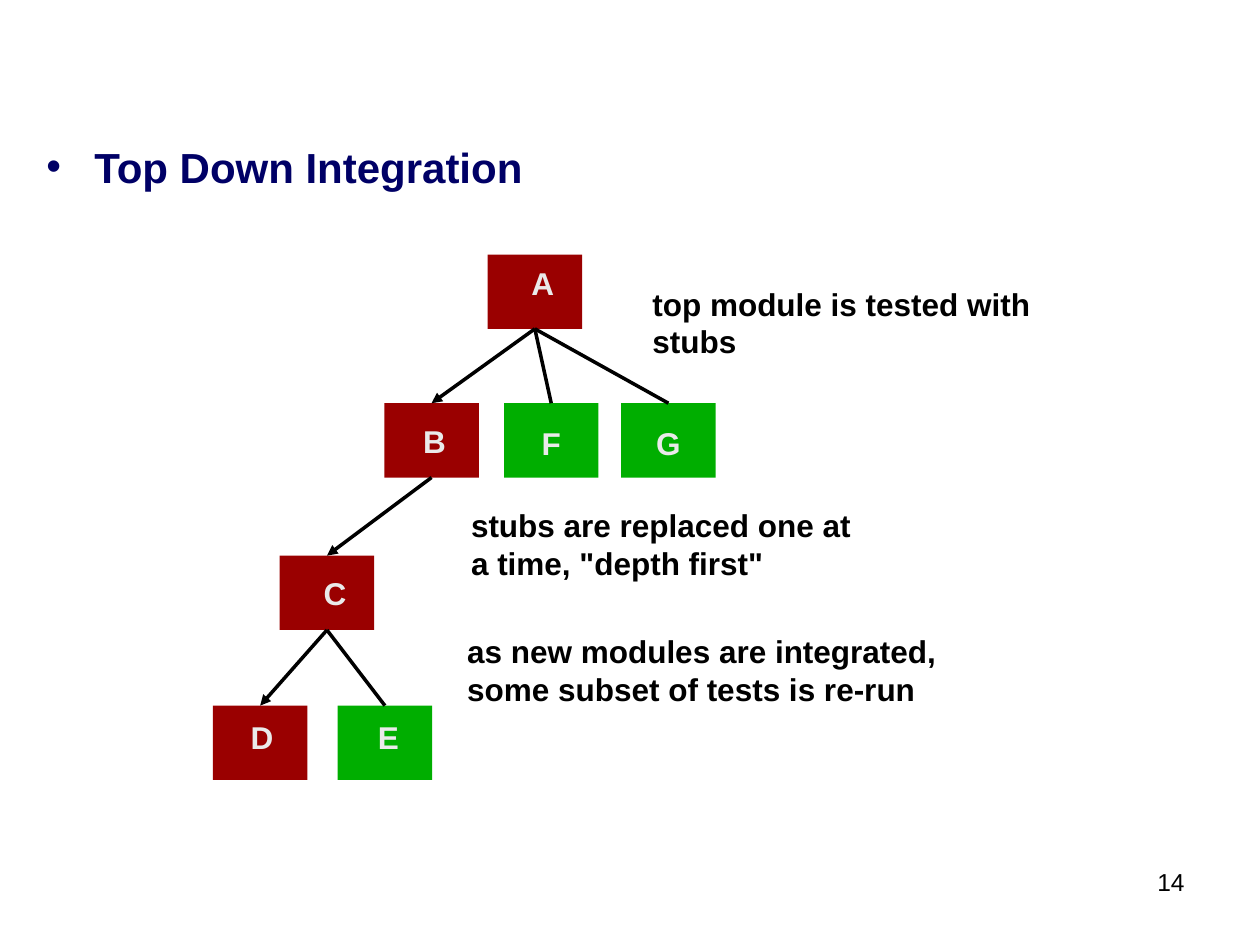
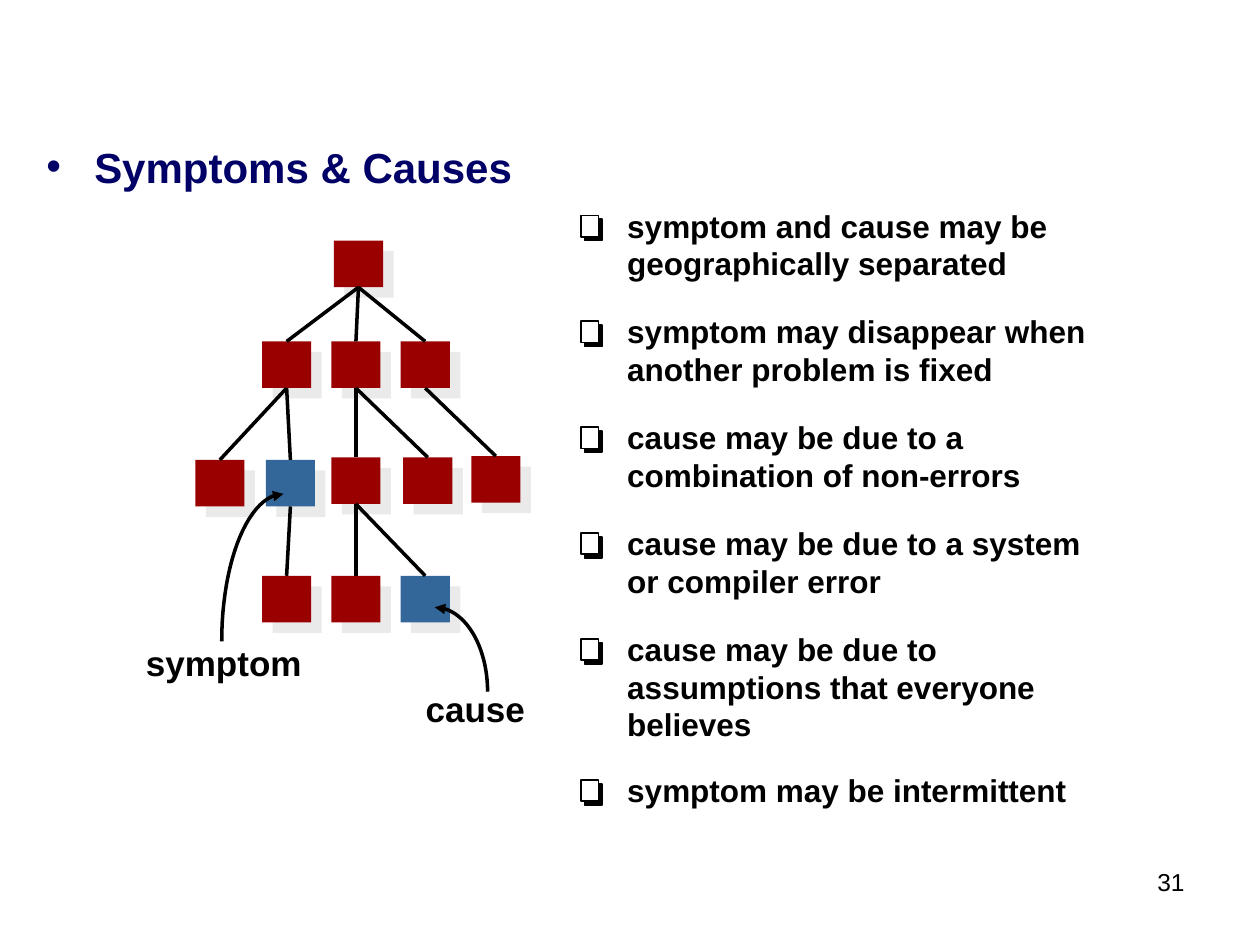
"""Build two software testing slides: top down integration, and symptoms and causes."""
from dataclasses import dataclass
from math import cos, pi, sin

from lxml.etree import SubElement
from pptx import Presentation
from pptx.dml.color import RGBColor
from pptx.enum.shapes import MSO_CONNECTOR, MSO_SHAPE
from pptx.enum.text import PP_ALIGN
from pptx.oxml.ns import qn
from pptx.util import Inches, Pt

COLORS = {
    "navy": "000066",
    "black": "000000",
    "white": "FFFFFF",
    "red": "9A0000",
    "green": "00AE00",
    "blue": "336699",
    "pale": "EAEAEA",
}
FORMATS = {
    "title": {"name": "Arial", "size": Pt(24), "bold": True},
    "body": {"name": "Arial", "size": Pt(18), "bold": True},
    "callout": {"name": "Arial", "size": Pt(20), "bold": True},
    "number": {"name": "Arial", "size": Pt(14), "bold": False},
}
BOTTOM, TOP = 2, 0
TITLE_INDENT = Inches(0.38)
LINE_PITCH = 0.28


@dataclass(frozen=True)
class Label:
    """Text placed by its top left corner."""
    text: str
    left: float
    top: float
    width: float
    height: float = 0.4
    style: str = "body"
    color: str = "black"


@dataclass(frozen=True)
class Node:
    """A box of a module tree."""
    name: str
    left: float
    top: float
    color: str = "red"


@dataclass(frozen=True)
class Edge:
    """A line from the bottom of one node to the top of another."""
    parent: str
    child: str
    arrow: bool = False


@dataclass(frozen=True)
class Curve:
    """A quarter ellipse that leaves upwards and ends in an arrow."""
    start: tuple[float, float]
    end: tuple[float, float]


MODULES = [
    Node("A", 3.87, 2.02),
    Node("B", 3.05, 3.2),
    Node("C", 2.22, 4.41),
    Node("D", 1.69, 5.6),
    Node("E", 2.68, 5.6, "green"),
    Node("F", 4, 3.2, "green"),
    Node("G", 4.93, 3.2, "green"),
]
MODULE_EDGES = [
    Edge("C", "E"), Edge("A", "F"), Edge("A", "G"),
    Edge("A", "B", True), Edge("B", "C", True), Edge("C", "D", True),
]
LETTER_CORNERS = {
    "A": (4.12, 2.05), "B": (3.26, 3.3), "C": (2.47, 4.51), "D": (1.89, 5.65),
    "E": (2.9, 5.65), "F": (4.2, 3.32), "G": (5.11, 3.32),
}
INTEGRATION_NOTES = [
    Label("top module is tested with\nstubs", 5.08, 2.21, 3.6, 0.68),
    Label('stubs are replaced one at\na time, "depth first"', 3.64, 3.97, 3.6, 0.68),
    Label("as new modules are integrated,\nsome subset of tests is re-run", 3.61, 4.97, 4.2, 0.68),
]

FAULT_NODES = [
    Node("root", 2.65, 1.91),
    Node("left", 2.08, 2.71),
    Node("middle", 2.63, 2.71),
    Node("right", 3.18, 2.71),
    Node("left 1", 1.55, 3.65),
    Node("symptom", 2.11, 3.65, "blue"),
    Node("middle 1", 2.63, 3.63),
    Node("symptom 1", 2.08, 4.57),
    Node("middle 1a", 2.63, 4.57),
    Node("cause", 3.18, 4.57, "blue"),
    Node("middle 2", 3.2, 3.63),
    Node("right 1", 3.74, 3.62),
]
FAULT_EDGES = [
    Edge("root", "left"), Edge("root", "middle"), Edge("root", "right"),
    Edge("left", "left 1"), Edge("left", "symptom"),
    Edge("middle", "middle 1"), Edge("middle", "middle 2"), Edge("right", "right 1"),
    Edge("symptom", "symptom 1"),
    Edge("middle 1", "middle 1a"), Edge("middle 1", "cause"),
]
FAULT_CALLOUTS = [
    Label("symptom", 1.06, 5.04, 1.6, 0.43, "callout"),
    Label("cause", 3.28, 5.41, 1.1, 0.43, "callout"),
]
FAULT_CURVES = [Curve((1.76, 5.09), (2.25, 3.92)), Curve((3.87, 5.49), (3.45, 4.82))]
FINDINGS = [
    "symptom and cause may be\ngeographically separated",
    "symptom may disappear when\nanother problem is fixed",
    "cause may be due to a\ncombination of non-errors",
    "cause may be due to a system\nor compiler error",
    "cause may be due to\nassumptions that everyone\nbelieves",
    "symptom may be intermittent",
]


def rgb(color: str) -> RGBColor:
    """Return a named colour."""
    return RGBColor.from_string(COLORS[color])


def add_label(slide, label: Label):
    """Add a text box and return its paragraph."""
    shape = slide.shapes.add_textbox(
        Inches(label.left), Inches(label.top), Inches(label.width), Inches(label.height))
    shape.text_frame.word_wrap = True
    paragraph = shape.text_frame.paragraphs[0]
    paragraph.text = label.text
    for run in paragraph.runs:
        for attribute, value in FORMATS[label.style].items():
            setattr(run.font, attribute, value)
        run.font.color.rgb = rgb(label.color)
    return paragraph


def add_frame(presentation, title: str, number: int):
    """Add a slide with its bulleted title and page number."""
    slide = presentation.slides.add_slide(presentation.slide_layouts[6])
    page = add_label(slide, Label(str(number), 7.44, 6.83, 2.06, 0.52, "number"))
    page.alignment = PP_ALIGN.RIGHT
    heading = add_label(slide, Label(title, 0.27, 1.07, 9, 0.95, "title", "navy"))
    properties = heading._p.get_or_add_pPr()
    properties.set("marL", str(TITLE_INDENT))
    properties.set("indent", str(-TITLE_INDENT))
    bullet_color = SubElement(properties, qn("a:buClr"))
    SubElement(bullet_color, qn("a:srgbClr"), val=COLORS["navy"])
    SubElement(properties, qn("a:buFont"), typeface="Arial")
    SubElement(properties, qn("a:buChar"), char="•")
    return slide


def add_box(slide, left: float, top: float, width: float, height: float, color: str):
    """Add a filled rectangle without an outline."""
    shape = slide.shapes.add_shape(
        MSO_SHAPE.RECTANGLE, Inches(left), Inches(top), Inches(width), Inches(height))
    shape.shadow.inherit = False
    shape.fill.solid()
    shape.fill.fore_color.rgb = rgb(color)
    shape.line.fill.background()
    return shape


def style_line(shape, width: float, arrow: bool = False) -> None:
    """Draw a black line, with an arrowhead at its end if asked."""
    shape.line.color.rgb = rgb("black")
    shape.line.width = Pt(width)
    if arrow:
        line = shape.element.spPr.find(qn("a:ln"))
        SubElement(line, qn("a:tailEnd"), type="triangle")


def add_drop_shadow(shape) -> None:
    """Cast a pale shadow down and to the right."""
    effects = shape.element.spPr.find(qn("a:effectLst"))
    shadow = SubElement(effects, qn("a:outerShdw"), dist=str(Pt(8.5)), dir="2700000",
                        algn="ctr", rotWithShape="0")
    SubElement(shadow, qn("a:srgbClr"), val=COLORS["pale"])


def add_nodes(slide, nodes: list[Node], width: float, height: float) -> dict:
    """Add the boxes of a tree and return them by name."""
    return {node.name: add_box(slide, node.left, node.top, width, height, node.color)
            for node in nodes}


def add_edges(slide, boxes: dict, edges: list[Edge]) -> None:
    """Join the boxes of a tree."""
    for edge in edges:
        connector = slide.shapes.add_connector(MSO_CONNECTOR.STRAIGHT, 0, 0, 0, 0)
        connector.begin_connect(boxes[edge.parent], BOTTOM)
        connector.end_connect(boxes[edge.child], TOP)
        style_line(connector, 2, edge.arrow)
        SubElement(connector.element.spPr, qn("a:effectLst"))


def add_curve(slide, curve: Curve, steps: int = 24) -> None:
    """Draw a curved arrow."""
    (start_x, start_y), (end_x, end_y) = curve.start, curve.end
    angles = [pi / 2 * step / steps for step in range(steps + 1)]
    points = [(Inches(end_x + (start_x - end_x) * cos(angle)),
               Inches(start_y + (end_y - start_y) * sin(angle))) for angle in angles]
    builder = slide.shapes.build_freeform(*points[0])
    builder.add_line_segments(points[1:], close=False)
    shape = builder.convert_to_shape()
    shape.shadow.inherit = False
    shape.fill.background()
    style_line(shape, 2, True)


def add_check_box(slide, top: float) -> None:
    """Add a white square over a black one."""
    for offset, color in ((0.03, "black"), (0, "white")):
        style_line(add_box(slide, 4.61 + offset, top + offset, 0.14, 0.17, color), 1)


def build_integration(presentation) -> None:
    """Build the slide on top down integration."""
    slide = add_frame(presentation, "Top Down Integration", 14)
    boxes = add_nodes(slide, MODULES, 0.75, 0.59)
    add_edges(slide, boxes, MODULE_EDGES)
    for note in INTEGRATION_NOTES:
        add_label(slide, note)
    for letter, (left, top) in LETTER_CORNERS.items():
        add_label(slide, Label(letter, left, top, 0.4, color="pale"))


def build_symptoms(presentation) -> None:
    """Build the slide on symptoms and causes."""
    slide = add_frame(presentation, "Symptoms & Causes", 31)
    boxes = add_nodes(slide, FAULT_NODES, 0.39, 0.37)
    for box in boxes.values():
        add_drop_shadow(box)
    for callout in FAULT_CALLOUTS:
        add_label(slide, callout)
    top = 1.59
    for finding in FINDINGS:
        lines = finding.count("\n") + 1
        add_label(slide, Label(finding, 4.88, top, 4.1, 0.1 + lines * LINE_PITCH))
        add_check_box(slide, top + 0.12)
        top += (lines + 1) * LINE_PITCH
    add_edges(slide, boxes, FAULT_EDGES)
    for curve in FAULT_CURVES:
        add_curve(slide, curve)


def main() -> None:
    """Build and save the presentation."""
    presentation = Presentation()
    presentation.slide_width = Inches(10)
    presentation.slide_height = Inches(7.5)
    build_integration(presentation)
    build_symptoms(presentation)
    presentation.save("out.pptx")


if __name__ == "__main__":
    main()
